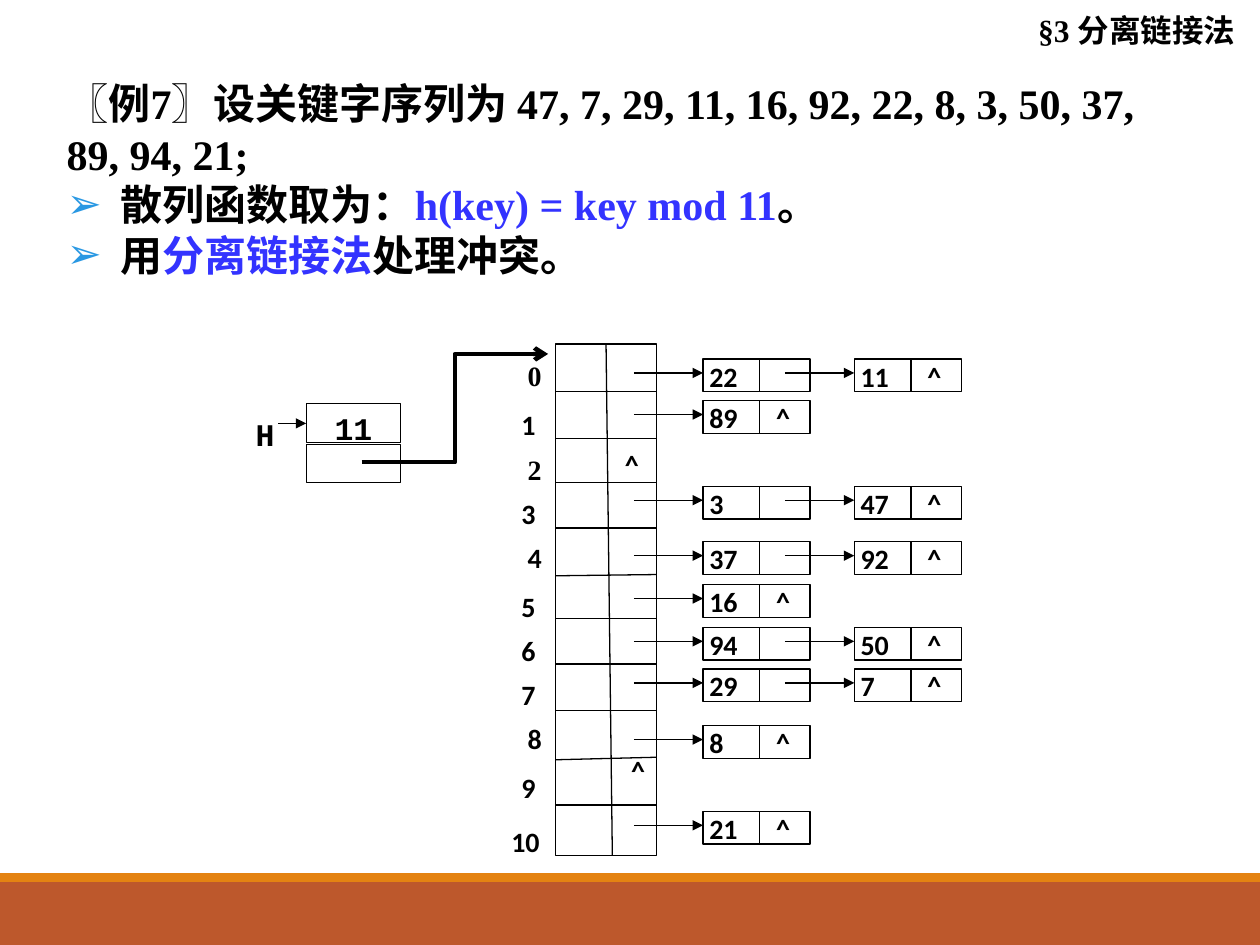
from dataclasses import dataclass

import pptx
import pptx.dml.color
import pptx.enum.shapes
import pptx.enum.text
import pptx.oxml.ns
import pptx.util
from lxml import etree

ALIGN = pptx.enum.text.PP_ALIGN
SHAPE = pptx.enum.shapes.MSO_SHAPE
CONNECTOR = pptx.enum.shapes.MSO_CONNECTOR
qn = pptx.oxml.ns.qn


@dataclass(frozen=True)
class Theme:
    ink: str = "000000"
    paper: str = "FFFFFF"
    accent: str = "3333FF"
    bullet: str = "2998E3"
    band: str = "BD582C"
    band_edge: str = "E48312"
    serif: str = "Times New Roman"
    sans: str = "Calibri"
    mono: str = "Courier New"
    body_size: int = 24
    heading_size: int = 18
    node_size: int = 16
    thin: float = 0.75
    thick: float = 2.5


@dataclass(frozen=True)
class Box:
    """Place on a grid of 100 columns by 75 rows."""
    left: float
    top: float
    width: float
    height: float

    def inner(self, left, top, width, height):
        return Box(self.left + left, self.top + top, width, height)

    def point(self, column, row):
        return self.left + column, self.top + row

    def lengths(self):
        return [grid(value) for value in (self.left, self.top, self.width, self.height)]


THEME = Theme()
SLIDE_WIDTH, SLIDE_HEIGHT = pptx.util.Inches(10), pptx.util.Inches(7.5)
PAGE = Box(0, 0, 100, 75)


def grid(units):
    return round(units * SLIDE_WIDTH / 100)


def color(value):
    return pptx.dml.color.RGBColor.from_string(value)


def add_rectangle(slide, box, fill=None, outline=THEME.ink):
    shape = slide.shapes.add_shape(SHAPE.RECTANGLE, *box.lengths())
    shape.shadow.inherit = False
    if fill:
        shape.fill.solid()
        shape.fill.fore_color.rgb = color(fill)
    else:
        shape.fill.background()
    if outline:
        shape.line.color.rgb = color(outline)
        shape.line.width = pptx.util.Pt(THEME.thin)
    else:
        shape.line.fill.background()
    return shape


def add_line(slide, start, end, width=THEME.thin, head=None, kind=CONNECTOR.STRAIGHT):
    line = slide.shapes.add_connector(kind, *[grid(value) for value in (*start, *end)])
    line.line.color.rgb = color(THEME.ink)
    line.line.width = pptx.util.Pt(width)
    if head:
        etree.SubElement(line.line._get_or_add_ln(), qn("a:tailEnd"), type=head)
    etree.SubElement(line._element.spPr, qn("a:effectLst"))


def set_bullet(paragraph, character, indent):
    properties = paragraph._p.get_or_add_pPr()
    properties.set("marL", str(grid(indent)))
    properties.set("indent", str(-grid(indent)))
    bullet_color = etree.SubElement(properties, qn("a:buClr"))
    etree.SubElement(bullet_color, qn("a:srgbClr"), val=THEME.bullet)
    etree.SubElement(properties, qn("a:buFont"), typeface="Arial")
    etree.SubElement(properties, qn("a:buChar"), char=character)


def set_tab(paragraph, position):
    tabs = etree.SubElement(paragraph._p.get_or_add_pPr(), qn("a:tabLst"))
    etree.SubElement(tabs, qn("a:tab"), pos=str(grid(position)), algn="l")


def write(shape, paragraphs, font=THEME.sans, size=THEME.node_size, align=ALIGN.LEFT,
          insets=(0, 0, 0, 0), spacing=None, tab=None):
    """Each paragraph is (bullet, [(text, colour), ...]); a string is one plain run."""
    frame = shape.text_frame
    frame.word_wrap = True
    frame.vertical_anchor = pptx.enum.text.MSO_ANCHOR.TOP
    (frame.margin_left, frame.margin_top,
     frame.margin_right, frame.margin_bottom) = [grid(inset) for inset in insets]
    if isinstance(paragraphs, str):
        paragraphs = [(None, [(paragraphs, THEME.ink)])]
    for index, (bullet, runs) in enumerate(paragraphs):
        paragraph = frame.add_paragraph() if index else frame.paragraphs[0]
        paragraph.alignment = align
        if spacing:
            paragraph.line_spacing = spacing
        if bullet:
            set_bullet(paragraph, bullet, 4.3)
        if tab:
            set_tab(paragraph, tab)
        for text, run_color in runs:
            run = paragraph.add_run()
            run.text = text
            run.font.name = font
            run.font.size = pptx.util.Pt(size)
            run.font.bold = True
            run.font.color.rgb = color(run_color)


def add_text(slide, box, paragraphs, **text_format):
    write(slide.shapes.add_textbox(*box.lengths()), paragraphs, **text_format)


def build_footer(slide, box):
    add_rectangle(slide, box.inner(0, 0.7, box.width, box.height - 0.7), THEME.band, None)
    add_rectangle(slide, box.inner(0, 0, box.width, 0.7), THEME.band_edge, None)


def build_heading(slide, box):
    add_text(slide, box, "§3 分离链接法", font=THEME.serif, size=THEME.heading_size,
             align=ALIGN.RIGHT, insets=(0, 0.5, 1, 0.5))


def build_example(slide, box):
    ink, accent = THEME.ink, THEME.accent
    add_text(slide, box, [
        (None, [("〖例7〗设关键字序列为 47, 7, 29, 11, 16, 92, 22, 8, 3, 50, 37, 89, 94, 21;", ink)]),
        ("➢", [("散列函数取为：", ink), ("h(key) = key mod 11", accent), ("。", ink)]),
        ("➢", [("用", ink), ("分离链接法", accent), ("处理冲突。", ink)]),
    ], font=THEME.serif, size=THEME.body_size, insets=(1, 0.5, 1, 0.5))


def build_header_record(slide, box):
    """H, its two cells and the thick arrow to the bucket array."""
    add_text(slide, box.inner(0, 0.8, 3.6, 2.2), "H", font=THEME.mono,
             size=THEME.heading_size, insets=(1, 0.1, 1, 0))
    size_cell = add_rectangle(slide, box.inner(5, 0, 7.5, 3.1), THEME.paper)
    write(size_cell, "11", font=THEME.mono, size=THEME.heading_size,
          align=ALIGN.CENTER, insets=(1, 0.5, 1, 0.5))
    add_rectangle(slide, box.inner(5, 3.3, 7.5, 3), THEME.paper)
    add_line(slide, box.point(2.8, 1.6), box.point(5, 1.6), head="triangle")
    add_line(slide, box.point(9.4, 4.7), box.point(24.2, -3.9), THEME.thick,
             "arrow", CONNECTOR.ELBOW)


def build_buckets(slide, box):
    """Bucket array with its index labels and empty marks."""
    add_rectangle(slide, box)
    # Row rules as left and right heights, then the column rule
    for left, right in [(3.8, 3.8), (7.5, 7.5), (11, 11), (14.6, 14.6), (18.4, 18.3),
                        (21.8, 21.8), (25.4, 25.4), (29.1, 29.1), (33, 32.8), (36.6, 36.6)]:
        add_line(slide, box.point(0, left), box.point(box.width, right))
    add_line(slide, box.point(4, 0), box.point(4.5, box.height))
    # Index labels as column and row offsets
    labels = [(-3.2, -0.7), (-3.7, 3.2), (-3.2, 6.7), (-3.7, 10.2), (-3.2, 13.7), (-3.7, 17.6),
              (-3.7, 21.1), (-3.7, 24.6), (-3.2, 28.1), (-3.7, 32), (-4.5, 36.3)]
    for index, (column, row) in enumerate(labels):
        add_text(slide, box.inner(column, row, 4.7, 5.1), str(index),
                 font=THEME.serif if index in (0, 2) else THEME.sans,
                 insets=(1, 0.5, 0.5, 0.5), spacing=1.52)
    # Empty buckets 2 and 9
    for column, row in [(5.5, 8.2), (6, 32.5)]:
        add_text(slide, box.inner(column, row, 2, 2.7), "^")


def build_node(slide, box, key, last):
    """One list node with the arrow that leads to it."""
    node = add_rectangle(slide, box)
    write(node, f"{key}\t^" if last else str(key), insets=(0.5, 0, 0, 0), tab=5.3)
    add_line(slide, box.point(4.5, 0), box.point(4.5, box.height))
    add_line(slide, box.point(-5.5, 1.1), box.point(0, 1.1), head="triangle")


def build_chains(slide, box):
    chains = [(0, [22, 11]), (3.3, [89]), (10.1, [3, 47]), (14.5, [37, 92]), (17.9, [16]),
              (21.3, [94, 50]), (24.6, [29, 7]), (29.1, [8]), (35.9, [21])]
    for row, keys in chains:
        for position, key in enumerate(keys):
            build_node(slide, box.inner(12 * position, row, 8.5, 2.6), key,
                       last=position == len(keys) - 1)


def main():
    presentation = pptx.Presentation()
    presentation.slide_width, presentation.slide_height = SLIDE_WIDTH, SLIDE_HEIGHT
    slide = presentation.slides.add_slide(presentation.slide_layouts[6])
    build_footer(slide, PAGE.inner(0, 69.3, 100, 5.7))
    build_heading(slide, PAGE.inner(80.2, 0.4, 18.8, 4))
    build_example(slide, PAGE.inner(4.3, 5.7, 89.8, 17))
    build_header_record(slide, PAGE.inner(19.3, 32, 12.5, 6.3))
    build_buckets(slide, PAGE.inner(44.1, 27.3, 8, 40.6))
    build_chains(slide, PAGE.inner(55.8, 28.5, 20.5, 38.5))
    presentation.save("out.pptx")


if __name__ == "__main__":
    main()
